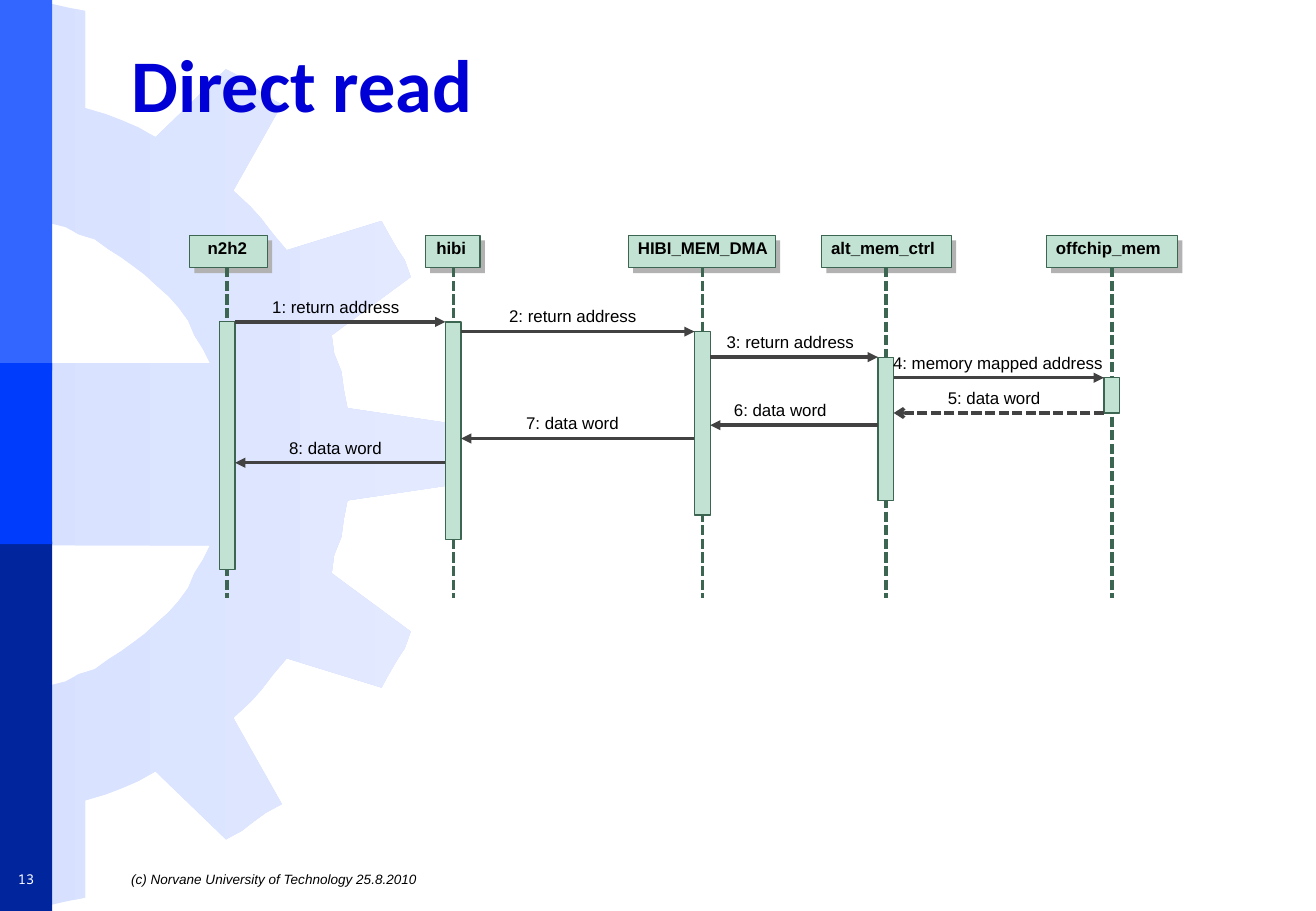
from lxml import etree
from pptx import Presentation
from pptx import util as u
from pptx.dml.color import RGBColor
from pptx.enum import dml, shapes, text
from pptx.oxml import ns

WHITE = RGBColor(0xFF, 0xFF, 0xFF)
BLACK = RGBColor(0x00, 0x00, 0x00)
TITLE_BLUE = RGBColor(0x00, 0x00, 0xD6)
GEAR_LEFT = RGBColor(0xD7, 0xE1, 0xFF)
GEAR_RIGHT = RGBColor(0xE3, 0xEA, 0xFF)
BAND_LIGHT = RGBColor(0x33, 0x66, 0xFF)
BAND_MIDDLE = RGBColor(0x00, 0x3C, 0xFC)
BAND_DARK = RGBColor(0x00, 0x25, 0x9C)
MINT = RGBColor(0xC2, 0xE3, 0xD3)
GREEN = RGBColor(0x3D, 0x66, 0x52)
SHADOW = RGBColor(0xB2, 0xB2, 0xB2)
ARROW = RGBColor(0x42, 0x42, 0x42)

GEAR_HEIGHT = 7.48
# Lower half of the gear, from the inner edge of the spoke to the middle tooth
GEAR_HALF = [
    (0, 4.49), (1.73, 4.49), (1.67, 4.61), (1.6, 4.72), (1.55, 4.84), (1.47, 4.95),
    (1.39, 5.04), (1.3, 5.12), (1.19, 5.22), (1.11, 5.28), (1, 5.36), (0.89, 5.43),
    (0.78, 5.51), (0.65, 5.55), (0.54, 5.61), (0.42, 5.64), (0.28, 5.68), (0.14, 5.7),
    (0.14, 7.48), (0.29, 7.46), (0.42, 7.45), (0.55, 7.42), (0.7, 7.39), (0.7, 6.59),
    (0.87, 6.54), (1, 6.49), (1.14, 6.43), (1.28, 6.35), (1.86, 6.91), (1.99, 6.84),
    (2.08, 6.77), (2.19, 6.69), (2.32, 6.62), (1.92, 5.91), (2.06, 5.78), (2.15, 5.68),
    (2.25, 5.55), (2.36, 5.42), (3.14, 5.66), (3.2, 5.55), (3.27, 5.43), (3.33, 5.34),
    (3.38, 5.2), (2.73, 4.72), (2.75, 4.57), (2.81, 4.42), (2.83, 4.27), (2.86, 4.12),
    (3.67, 4), (3.7, 3.85),
]

# Name, header left and width, name inset, lifeline x, activation top and bottom
PARTICIPANTS = [
    ("n2h2", 0, 0.64, 0.15, 0.31, 0.71, 2.75),
    ("hibi", 1.94, 0.45, 0.09, 2.17, 0.71, 2.5),
    ("HIBI_MEM_DMA", 3.61, 1.21, 0.08, 4.22, 0.79, 2.3),
    ("alt_mem_ctrl", 5.2, 1.07, 0.08, 5.73, 1, 2.18),
    ("offchip_mem", 7.05, 1.08, 0.08, 7.59, 1.17, 1.46),
]
# Sender and receiver (as participant positions), y, label left, label
MESSAGES = [
    (0, 1, 0.71, 0.68, "return address"),
    (1, 2, 0.79, 2.63, "return address"),
    (2, 3, 1, 4.42, "return address"),
    (3, 4, 1.17, 5.79, "memory mapped address"),
    (4, 3, 1.46, 6.24, "data word"),
    (3, 2, 1.56, 4.48, "data word"),
    (2, 1, 1.67, 2.77, "data word"),
    (1, 0, 1.87, 0.82, "data word"),
]
REPLY = 5
HEADER_HEIGHT = 0.26
BAR_WIDTH = 0.13


def add_block(slide, left, top, width, height, fill, outline=None):
    """Add a flat rectangle, with a hairline outline if a colour is given."""
    block = slide.shapes.add_shape(shapes.MSO_SHAPE.RECTANGLE, u.Inches(left), u.Inches(top),
                                   u.Inches(width), u.Inches(height))
    block.shadow.inherit = False
    block.fill.solid()
    block.fill.fore_color.rgb = fill
    if outline is None:
        block.line.fill.background()
    else:
        block.line.color.rgb = outline
        block.line.width = u.Pt(0)


def add_rule(slide, start, end, color, dashed=False, head=None):
    """Add a hairline, optionally dashed or with an arrowhead at its end."""
    rule = slide.shapes.add_connector(shapes.MSO_CONNECTOR.STRAIGHT,
                                      *(u.Inches(value) for value in (*start, *end)))
    rule.line.color.rgb = color
    rule.line.width = u.Pt(0)
    if dashed:
        rule.line.dash_style = dml.MSO_LINE.SQUARE_DOT
    if head:
        etree.SubElement(rule.line._get_or_add_ln(), ns.qn("a:tailEnd"),
                         type=head, w="med", len="med")
    etree.SubElement(rule.element.spPr, ns.qn("a:effectLst"))


def format_text(frame, size, font, color, bold=False, italic=False):
    """Format every run of a text frame."""
    for paragraph in frame.paragraphs:
        for run in paragraph.runs:
            run.font.size = u.Pt(size)
            run.font.name = font
            run.font.color.rgb = color
            run.font.bold = bold
            run.font.italic = italic


def add_label(slide, left, top, width, wording, bold=False):
    """Add a diagram label without margins."""
    label = slide.shapes.add_textbox(u.Inches(left), u.Inches(top),
                                     u.Inches(width), u.Inches(0.24)).text_frame
    label.word_wrap = True
    label.margin_left = label.margin_right = label.margin_top = label.margin_bottom = 0
    label.text = wording
    format_text(label, 10, "Arial", BLACK, bold=bold)


def draw_gear(slide, left, top):
    """Draw the gear, whose upper half mirrors the lower one."""
    upper = [(x, GEAR_HEIGHT - y) for x, y in reversed(GEAR_HALF)]
    outline = [(u.Inches(x), u.Inches(y)) for x, y in GEAR_HALF + upper]
    builder = slide.shapes.build_freeform(*outline[0])
    builder.add_line_segments(outline[1:], close=True)
    gear = builder.convert_to_shape(u.Inches(left), u.Inches(top))
    gear.shadow.inherit = False
    gear.line.fill.background()
    gear.fill.gradient()
    gear.fill.gradient_angle = 0
    for stop, color in zip(gear.fill.gradient_stops, (GEAR_LEFT, GEAR_RIGHT)):
        stop.color.rgb = color


def draw_side_bands(slide, left, top, width):
    """Draw the three blue bands along the slide edge."""
    for offset, height, color in ((0, 3.05, BAND_LIGHT), (4.46, 3.04, BAND_DARK),
                                  (2.99, 1.49, BAND_MIDDLE)):
        add_block(slide, left, top + offset, width, height, color)


def fill_title(slide, left, top, width, height):
    """Place the title in front of the backdrop."""
    title = slide.shapes.title
    slide.shapes.element.append(title.element)
    title.left, title.top = u.Inches(left), u.Inches(top)
    title.width, title.height = u.Inches(width), u.Inches(height)
    title.text_frame.text = "Direct read"
    title.text_frame.vertical_anchor = text.MSO_ANCHOR.MIDDLE
    title.text_frame.paragraphs[0].alignment = text.PP_ALIGN.LEFT
    format_text(title.text_frame, 44, "Calibri", TITLE_BLUE, bold=True)


def draw_footer(slide, left, top, width, height, wording, alignment, **style):
    """Add one line of footer text in the given box."""
    footer = slide.shapes.add_textbox(u.Inches(left), u.Inches(top),
                                      u.Inches(width), u.Inches(height)).text_frame
    footer.word_wrap = True
    footer.vertical_anchor = text.MSO_ANCHOR.MIDDLE
    footer.text = wording
    footer.paragraphs[0].alignment = alignment
    format_text(footer, 8, **style)


def draw_sequence(slide, left, top, height):
    """Draw participants with their lifelines, then the messages between them."""
    for name, x, width, inset, lifeline, start, end in PARTICIPANTS:
        add_block(slide, left + x + 0.04, top + 0.04, width, HEADER_HEIGHT + 0.01, SHADOW)
        add_block(slide, left + x, top, width, HEADER_HEIGHT, MINT, GREEN)
        add_label(slide, left + x + inset, top + 0.02, width + 0.1, name, bold=True)
        center = left + lifeline
        add_rule(slide, (center, top + HEADER_HEIGHT), (center, top + height), GREEN, dashed=True)
        add_block(slide, center - BAR_WIDTH / 2, top + start, BAR_WIDTH, end - start, MINT, GREEN)

    lifelines = [left + participant[4] for participant in PARTICIPANTS]
    for number, (sender, receiver, y, label_x, wording) in enumerate(MESSAGES, 1):
        reach = BAR_WIDTH / 2 if sender < receiver else -BAR_WIDTH / 2
        is_reply = number == REPLY
        add_rule(slide, (lifelines[sender] + reach, top + y),
                 (lifelines[receiver] - reach, top + y), ARROW, dashed=is_reply,
                 head="arrow" if is_reply else "triangle")
        add_label(slide, left + label_x, top + y - 0.21, 2, f"{number}: {wording}")


def main():
    """Build and save the slide."""
    deck = Presentation()
    deck.slide_width, deck.slide_height = u.Inches(10.83), u.Inches(7.5)
    slide = deck.slides.add_slide(deck.slide_layouts[5])
    draw_gear(slide, 0, 0)
    draw_side_bands(slide, 0, 0, 0.43)
    fill_title(slide, 0.98, 0.21, 9.39, 0.94)
    draw_footer(slide, 0.98, 7.11, 9.39, 0.26, "(c) Norvane University of Technology 25.8.2010",
                text.PP_ALIGN.LEFT, font="Arial", color=BLACK, italic=True)
    draw_footer(slide, 0, 7.11, 0.43, 0.26, "13",
                text.PP_ALIGN.CENTER, font="Noto Sans Mono", color=WHITE)
    draw_sequence(slide, 1.56, 1.94, 2.98)
    deck.save("out.pptx")


main()
